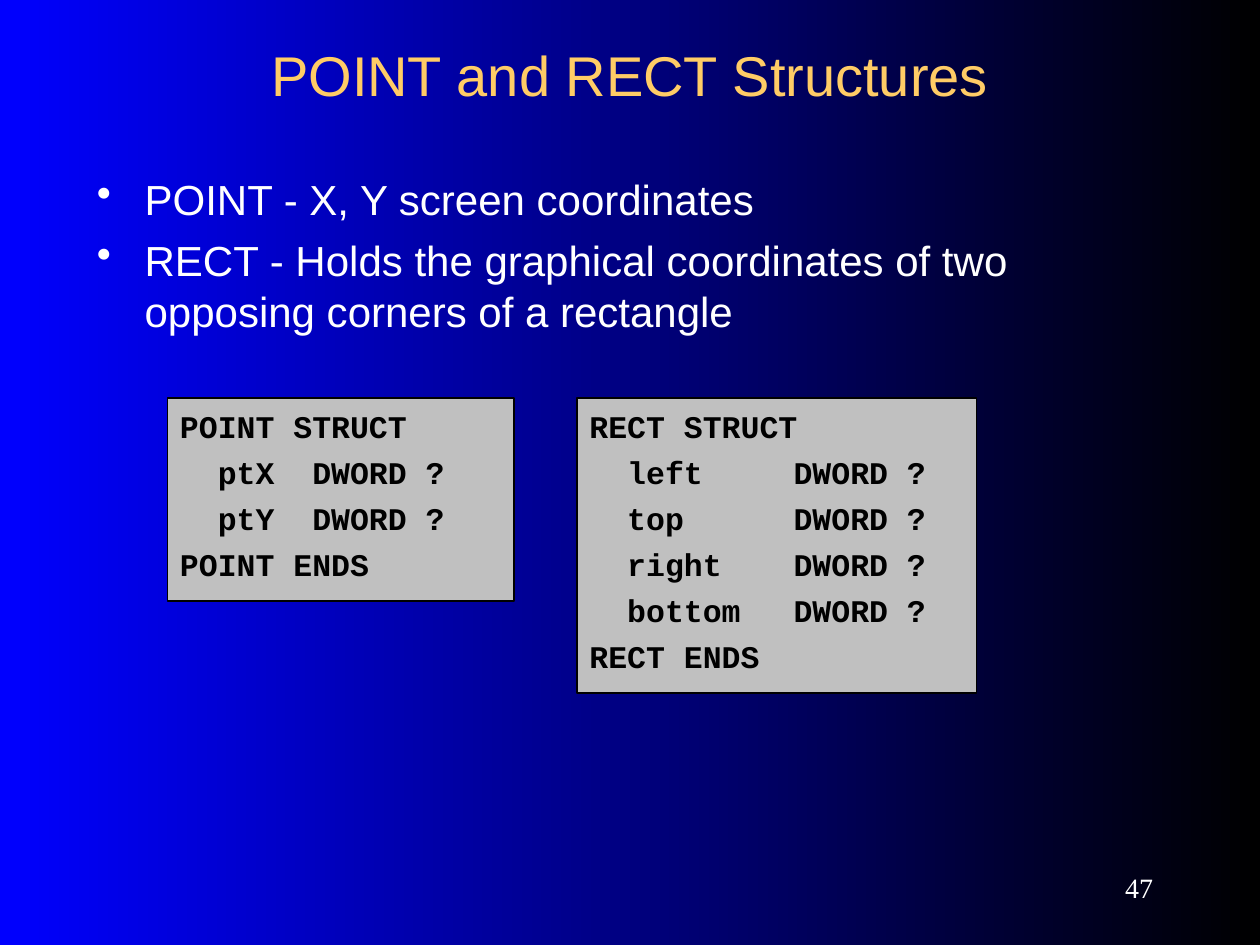
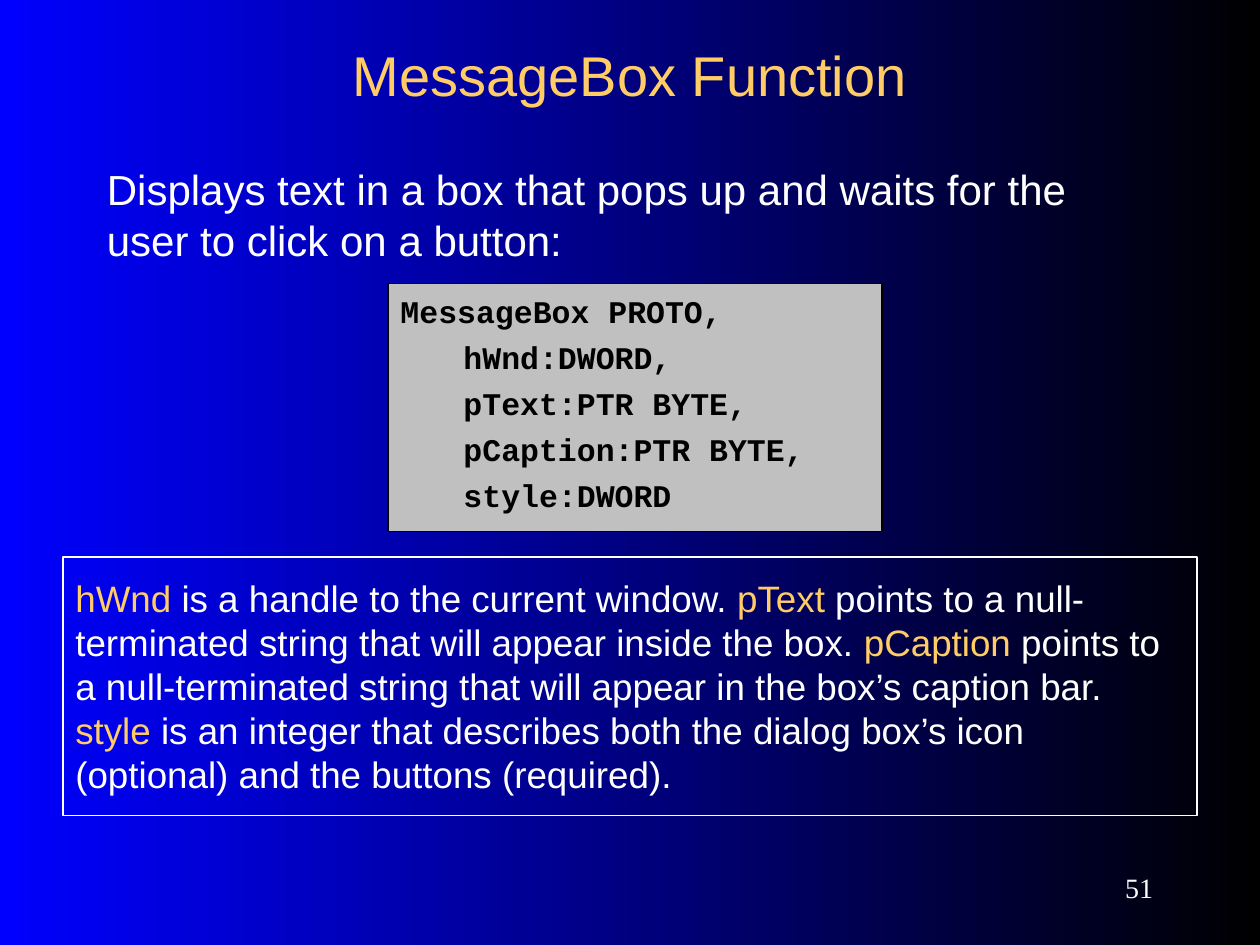
from lxml import etree
from pptx import Presentation
from pptx.dml.color import RGBColor
from pptx.enum.shapes import MSO_SHAPE
from pptx.enum.text import MSO_ANCHOR, PP_ALIGN
from pptx.oxml.ns import qn
from pptx.util import Inches, Pt

RECTANGLE = MSO_SHAPE.RECTANGLE
TOP, MIDDLE = MSO_ANCHOR.TOP, MSO_ANCHOR.MIDDLE
LEFT, CENTER, RIGHT = PP_ALIGN.LEFT, PP_ALIGN.CENTER, PP_ALIGN.RIGHT

GOLD, WHITE, BLACK, GRAY, BLUE = "FFCC66", "FFFFFF", "000000", "C0C0C0", "0000FF"
BODY_FONT, CODE_FONT, NUMBER_FONT = "Arial", "Courier New", "Times New Roman"


def color(hex_code):
    return RGBColor.from_string(hex_code)


def prepare_frame(shape, anchor=TOP, margin_y=0.05):
    frame = shape.text_frame
    frame.word_wrap = True
    frame.vertical_anchor = anchor
    frame.margin_left = frame.margin_right = Inches(0.1)
    frame.margin_top = frame.margin_bottom = Inches(margin_y)
    return frame


def add_text_area(slide, area, anchor=TOP):
    return prepare_frame(slide.shapes.add_textbox(*map(Inches, area)), anchor)


def add_panel(slide, area, line, fill=None):
    panel = slide.shapes.add_shape(RECTANGLE, *map(Inches, area))
    panel.shadow.inherit = False
    if fill:
        panel.fill.solid()
        panel.fill.fore_color.rgb = color(fill)
    else:
        panel.fill.background()
    panel.line.color.rgb = color(line)
    panel.line.width = Pt(0.75)
    return prepare_frame(panel, margin_y=0.15)


def add_paragraph(frame, runs, size, font=BODY_FONT, align=LEFT, before=0, bold=False):
    """Write (text, colour) runs, using the frame's empty first paragraph first."""
    first = frame.paragraphs[0]
    paragraph = frame.add_paragraph() if first.runs else first
    paragraph.alignment = align
    paragraph.space_before = Pt(before)
    for text, hex_code in runs:
        run = paragraph.add_run()
        run.text = text
        run.font.size = Pt(size)
        run.font.name = font
        run.font.bold = bold
        run.font.color.rgb = color(hex_code)
    return paragraph


def set_bullet(paragraph, indent):
    properties = paragraph._p.get_or_add_pPr()
    properties.set("marL", str(Inches(indent)))
    properties.set("indent", str(-Inches(indent)))
    bullet_color = etree.SubElement(properties, qn("a:buClr"))
    etree.SubElement(bullet_color, qn("a:srgbClr"), val=WHITE)
    etree.SubElement(properties, qn("a:buChar"), char="•")


def set_tabs(paragraph, stops):
    tab_list = etree.SubElement(paragraph._p.get_or_add_pPr(), qn("a:tabLst"))
    for stop in stops:
        etree.SubElement(tab_list, qn("a:tab"), pos=str(Inches(stop)), algn="l")


def add_code(slide, area, lines, tabs):
    frame = add_panel(slide, area, line=BLACK, fill=GRAY)
    for line in lines:
        paragraph = add_paragraph(frame, [(line, BLACK)], 18, CODE_FONT,
                                  before=11.2, bold=True)
        paragraph.line_spacing = 0.7
        set_tabs(paragraph, tabs)


def add_body(slide, area, texts, bulleted=False):
    frame = add_text_area(slide, area)
    for text in texts:
        paragraph = add_paragraph(frame, [(text, WHITE)], 24, before=6)
        if bulleted:
            set_bullet(paragraph, 0.38)


def add_slide(deck, title, number):
    """Start a slide with the shared background, title and page number."""
    slide = deck.slides.add_slide(deck.slide_layouts[6])
    background = slide.background.fill
    background.gradient()
    background.gradient_angle = 180
    for stop, hex_code, position in zip(background.gradient_stops, (BLACK, BLUE), (0, 1)):
        stop.color.rgb = color(hex_code)
        stop.position = position
    heading = add_text_area(slide, (0.75, 0.25, 8.5, 0.67), MIDDLE)
    add_paragraph(heading, [(title, GOLD)], 32, align=CENTER)
    page = add_text_area(slide, (8.17, 6.83, 1.08, 0.42), MIDDLE)
    add_paragraph(page, [(str(number), WHITE)], 16, NUMBER_FONT, RIGHT)
    return slide


def add_structures_slide(deck):
    slide = add_slide(deck, "POINT and RECT Structures", 47)
    add_body(slide, (0.67, 1.33, 8.17, 2.25), [
        "POINT - X, Y screen coordinates",
        "RECT - Holds the graphical coordinates of two opposing corners of a rectangle",
    ], bulleted=True)
    structures = [
        ("POINT", ("ptX", "ptY"), (1.33, 3.16, 2.75, 1.61), 1.05),
        ("RECT", ("left", "top", "right", "bottom"), (4.58, 3.16, 3.17, 2.34), 1.62),
    ]
    for name, fields, area, type_tab in structures:
        members = [f"\t{field}\tDWORD ?" for field in fields]
        add_code(slide, area, [f"{name} STRUCT", *members, f"{name} ENDS"],
                 (0.3, type_tab))


def add_message_box_slide(deck):
    slide = add_slide(deck, "MessageBox Function", 51)
    add_body(slide, (0.75, 1.25, 8.5, 1), [
        "Displays text in a box that pops up and waits for the user to click on a button:",
    ])
    add_code(slide, (3.08, 2.25, 3.92, 1.97), [
        "MessageBox PROTO,",
        "\thWnd:DWORD,",
        "\tpText:PTR BYTE,",
        "\tpCaption:PTR BYTE,",
        "\tstyle:DWORD",
    ], (0.5,))
    parameters = [
        ("hWnd", " is a handle to the current window. "),
        ("pText", " points to a null-terminated string that will appear inside the box. "),
        ("pCaption", " points to a null-terminated string that will appear in the "
                     "box’s caption bar. "),
        ("style", " is an integer that describes both the dialog box’s icon (optional) "
                  "and the buttons (required)."),
    ]
    runs = []
    for name, meaning in parameters:
        runs += [(name, GOLD), (meaning, WHITE)]
    explanation = add_panel(slide, (0.5, 4.42, 9, 2.05), line=WHITE)
    add_paragraph(explanation, runs, 21, before=13.1)


def main():
    deck = Presentation()
    deck.slide_width, deck.slide_height = Inches(10), Inches(7.5)
    add_structures_slide(deck)
    add_message_box_slide(deck)
    deck.save("out.pptx")


if __name__ == "__main__":
    main()
